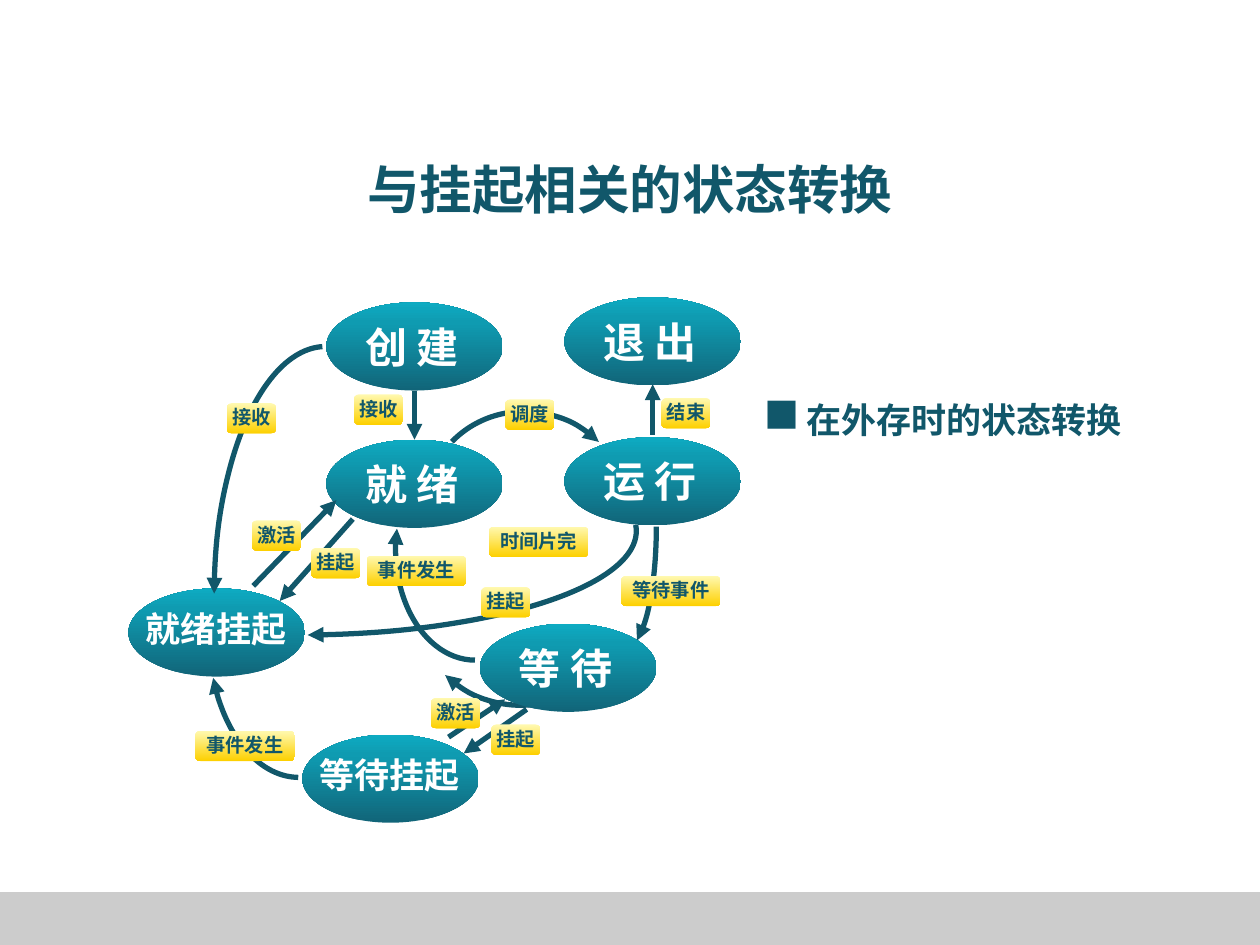
"""Build a slide showing the process state transitions related to suspension."""
import copy

import pptx
import pptx.dml.color
import pptx.enum.shapes
import pptx.enum.text
import pptx.oxml
import pptx.oxml.ns
import pptx.util

Inches = pptx.util.Inches
SHAPE = pptx.enum.shapes.MSO_SHAPE
ALIGN = pptx.enum.text.PP_ALIGN
qn = pptx.oxml.ns.qn

THEME = {
    "font": "Noto Sans CJK SC", "bullet_font": "Noto Sans CJK JP",
    "dark": "11576A", "white": "FFFFFF", "band": "CCCCCC",
    "state": [(0, "116579"), (0.77, "0F9BB1"), (1, "0EABC2")],
    "label": [(0, "FFF9B1"), (1, "FDD000")],
    "title": 30, "large": 24, "medium": 20, "small": 11, "line": 3,
}
TITLE = "与挂起相关的状态转换"
NOTE = "在外存时的状态转换"
STATE_SIZE = (1.4, 0.7)
STATES = [
    ("创 建", 2.59, 2.4), ("就 绪", 2.59, 3.49), ("运 行", 4.48, 3.47),
    ("等 待", 3.81, 4.95), ("退 出", 4.48, 2.36),
    ("就绪挂起", 1.02, 4.67), ("等待挂起", 2.4, 5.83),
]
BACK_ARCS = [
    {"box": (4.71, 3.2, 0.5, 1.96), "angles": (0.08, 50.35)},
    {"box": (3.27, 3.89, 1.67, 1.72), "angles": (160.58, 215.56), "rotation": 134},
]
FRONT_ARCS = [
    {"box": (3.38, 3.25, 1.62, 1.68), "angles": (162, 0), "rotation": 314},
    {"box": (-0.34, 3.39, 5.39, 1.65), "angles": (215.38, 50.37)},
    {"box": (3.14, 3.48, 1.26, 1.76), "angles": (207.14, 54), "flips": ("flipH",), "arrow": "headEnd"},
    {"box": (1.66, 3.92, 1.43, 2.25), "angles": (15.68, 53.78), "flips": ("flipH",), "arrow": "headEnd"},
    {"box": (1.7, 2.75, 1.77, 3.95), "angles": (0.54, 53.54), "flips": ("flipH", "flipV"), "arrow": "headEnd"},
]
LINES = [
    ((3.29, 3.49), (3.29, 3.1), "headEnd"), ((5.18, 3.45), (5.18, 3.05), "tailEnd"),
    ((3.68, 5.98), (4.18, 5.63), "headEnd"), ((3.56, 5.85), (4.01, 5.55), "tailEnd"),
    ((2.01, 4.65), (2.67, 3.97), "tailEnd"), ((2.22, 4.77), (2.8, 4.12), "headEnd"),
]
LABELS = [
    ("挂起", 3.82, 4.66), ("接收", 1.8, 3.2), ("事件发生", 1.55, 5.8),
    ("接收", 2.81, 3.13), ("激活", 2, 4.13), ("挂起", 2.47, 4.35),
    ("事件发生", 2.91, 4.41), ("激活", 3.42, 5.54), ("挂起", 3.9, 5.75),
    ("等待事件", 4.93, 4.57), ("时间片完", 3.88, 4.18), ("调度", 4.01, 3.17),
    ("结束", 5.25, 3.16),
]


def color(name):
    return pptx.dml.color.RGBColor.from_string(THEME[name])


def style(paragraph, size, color_name, font="font"):
    paragraph.font.size = pptx.util.Pt(THEME[size])
    paragraph.font.bold = True
    paragraph.font.color.rgb = color(color_name)
    paragraph.font.name = THEME[font]
    properties = paragraph.font._element
    east_asian = pptx.oxml.parse_xml(f'<a:ea {pptx.oxml.ns.nsdecls("a")} typeface="{THEME[font]}"/>')
    properties.find(qn("a:latin")).addnext(east_asian)


def add_text(slide, text, box, size, color_name, wrap=True, align=ALIGN.LEFT, font="font"):
    shape = slide.shapes.add_textbox(*map(Inches, box))
    shape.text_frame.word_wrap = wrap
    paragraph = shape.text_frame.paragraphs[0]
    paragraph.text = text
    paragraph.alignment = align
    style(paragraph, size, color_name, font)
    return paragraph


def add_shape(slide, kind, box):
    shape = slide.shapes.add_shape(kind, *map(Inches, box))
    shape.shadow.inherit = False
    shape.line.fill.background()
    return shape


def fill_gradient(shape, stops, angle):
    shape.fill.gradient()
    shape.fill.gradient_angle = angle
    stop_list = shape._element.spPr.find(qn("a:gradFill")).find(qn("a:gsLst"))
    while len(stop_list) < len(stops):
        stop_list.append(copy.deepcopy(stop_list[0]))
    for stop, (position, value) in zip(shape.fill.gradient_stops, stops):
        stop.position = position
        stop.color.rgb = pptx.dml.color.RGBColor.from_string(value)


def draw_arrow(shape, arrow):
    shape.line.color.rgb = color("dark")
    shape.line.width = pptx.util.Pt(THEME["line"])
    end = pptx.oxml.parse_xml(f'<a:{arrow} {pptx.oxml.ns.nsdecls("a")} type="triangle"/>')
    shape._element.spPr.find(qn("a:ln")).append(end)


def add_arc(slide, box, angles, rotation=0, flips=(), arrow="tailEnd"):
    shape = add_shape(slide, SHAPE.ARC, box)
    shape.fill.background()
    shape.adjustments[0], shape.adjustments[1] = angles
    shape.rotation = rotation
    for flip in flips:
        shape._element.spPr.find(qn("a:xfrm")).set(flip, "1")
    draw_arrow(shape, arrow)


def add_line(slide, start, end, arrow):
    line = slide.shapes.add_connector(
        pptx.enum.shapes.MSO_CONNECTOR.STRAIGHT, *map(Inches, start + end))
    draw_arrow(line, arrow)
    line._element.spPr.append(pptx.oxml.parse_xml(f'<a:effectLst {pptx.oxml.ns.nsdecls("a")}/>'))


def add_state(slide, text, left, top):
    shape = add_shape(slide, SHAPE.OVAL, (left, top, *STATE_SIZE))
    fill_gradient(shape, THEME["state"], 90)
    width, height, size = (1.32, 0.44, "medium") if len(text) > 3 else (0.98, 0.5, "large")
    text_left = left + (STATE_SIZE[0] - width) / 2
    add_text(slide, text, (text_left, top + 0.1, width, height), size, "white", wrap=False)


def add_label(slide, text, left, top):
    width = 0.2 * len(text) - 0.01
    shape = add_shape(slide, SHAPE.ROUNDED_RECTANGLE, (left, top, width, 0.24))
    fill_gradient(shape, THEME["label"], 270)
    box = (left - 0.08, top - 0.03, width + 0.16, 0.29)
    add_text(slide, text, box, "small", "dark", align=ALIGN.CENTER)


def main():
    presentation = pptx.Presentation()
    presentation.slide_width, presentation.slide_height = Inches(10), Inches(7.5)
    slide = presentation.slides.add_slide(presentation.slide_layouts[5])

    band = add_shape(slide, SHAPE.RECTANGLE, (0, 7.08, 10, 0.42))
    band.fill.solid()
    band.fill.fore_color.rgb = color("band")

    title = slide.shapes.title
    title.left, title.top, title.width, title.height = map(Inches, (0.75, 1.04, 8.5, 0.92))
    title.text_frame.text = TITLE
    title.text_frame.vertical_anchor = pptx.enum.text.MSO_ANCHOR.MIDDLE
    title.text_frame.paragraphs[0].alignment = ALIGN.CENTER
    style(title.text_frame.paragraphs[0], "title", "dark")

    for arc in BACK_ARCS:
        add_arc(slide, **arc)
    for state in STATES:
        add_state(slide, *state)
    for line in LINES:
        add_line(slide, *line)
    for arc in FRONT_ARCS:
        add_arc(slide, **arc)
    for label in LABELS:
        add_label(slide, *label)

    note = add_text(slide, NOTE, (6.3, 3.05, 3.19, 0.47), "medium", "dark")
    note.line_spacing = 1.2
    add_text(slide, "■", (5.97, 3.07, 0.37, 0.44), "medium", "dark", font="bullet_font")
    presentation.save("out.pptx")


if __name__ == "__main__":
    main()
